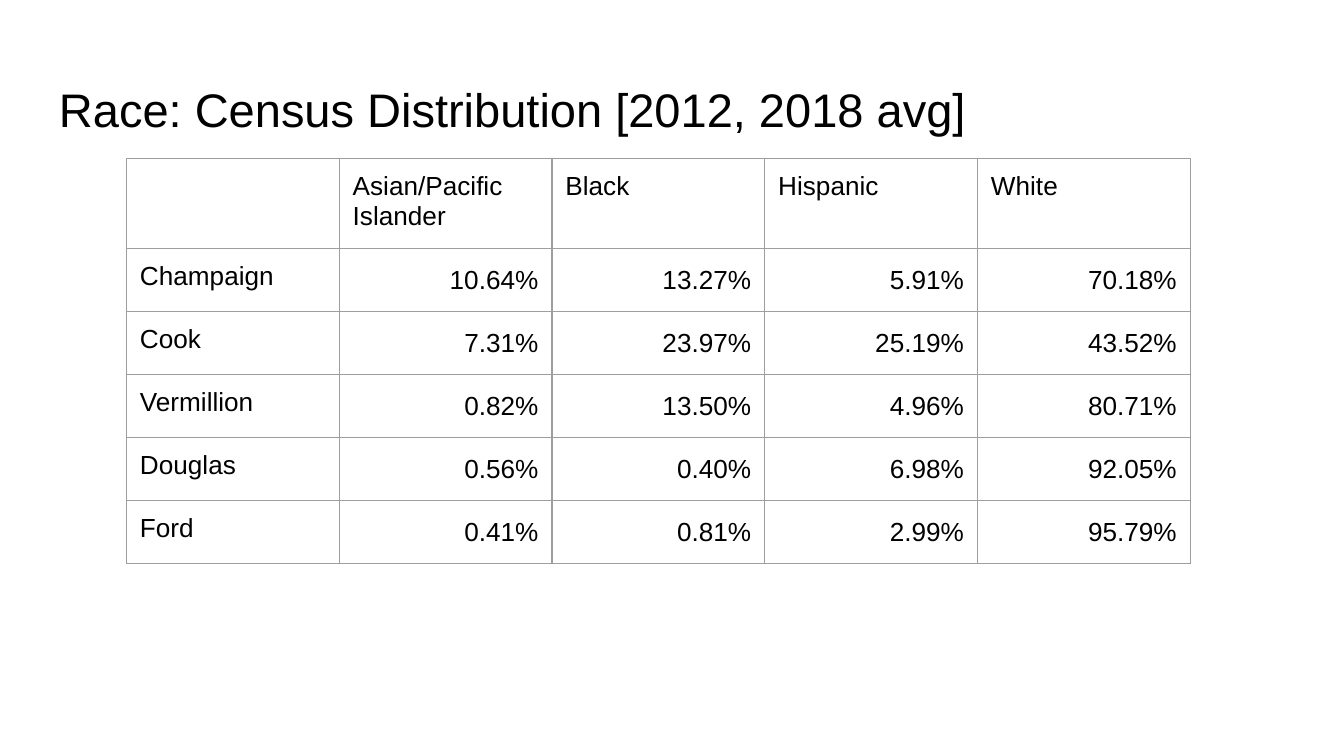
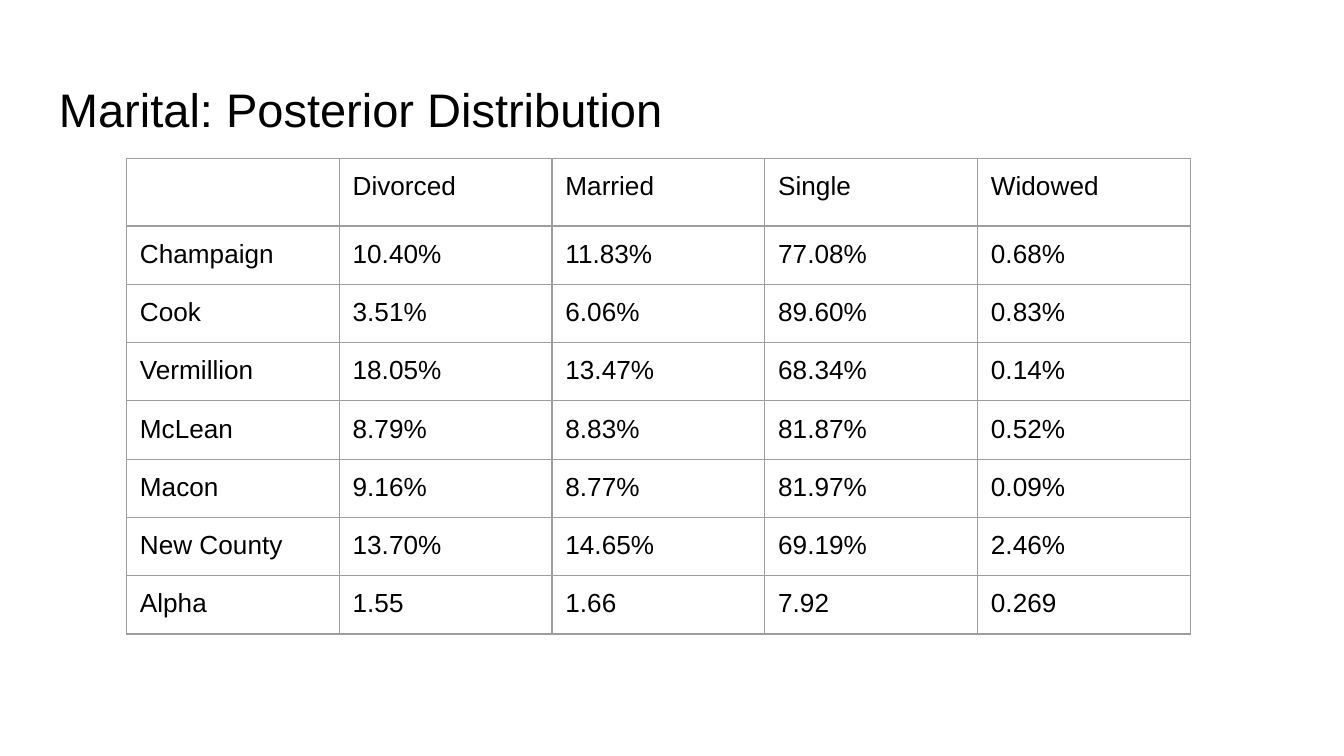
from lxml.etree import SubElement as Sub
from pptx import Presentation
from pptx.dml.color import RGBColor as Rgb
from pptx.enum.text import MSO_ANCHOR as Anchor, PP_ALIGN as Align
from pptx.oxml.ns import qn
from pptx.util import Pt

hues = {"text": "000000", "grid": "9E9E9E", "page": "FFFFFF"}
pad = 7.2
tables = [
    ("Race: Census Distribution [2012, 2018 avg]", Align.RIGHT, 1.15, [
        ["", "Asian/Pacific Islander", "Black", "Hispanic", "White"],
        ["Champaign", "10.64%", "13.27%", "5.91%", "70.18%"],
        ["Cook", "7.31%", "23.97%", "25.19%", "43.52%"],
        ["Vermillion", "0.82%", "13.50%", "4.96%", "80.71%"],
        ["Douglas", "0.56%", "0.40%", "6.98%", "92.05%"],
        ["Ford", "0.41%", "0.81%", "2.99%", "95.79%"],
    ]),
    ("Marital: Posterior Distribution", Align.LEFT, None, [
        ["", "Divorced", "Married", "Single", "Widowed"],
        ["Champaign", "10.40%", "11.83%", "77.08%", "0.68%"],
        ["Cook", "3.51%", "6.06%", "89.60%", "0.83%"],
        ["Vermillion", "18.05%", "13.47%", "68.34%", "0.14%"],
        ["McLean", "8.79%", "8.83%", "81.87%", "0.52%"],
        ["Macon", "9.16%", "8.77%", "81.97%", "0.09%"],
        ["New County", "13.70%", "14.65%", "69.19%", "2.46%"],
        ["Alpha", "1.55", "1.66", "7.92", "0.269"],
    ]),
]


def write(frame, text, size=14, align=Align.LEFT, space=None):
    para = frame.paragraphs[0]
    para.alignment = align
    para.line_spacing = space
    run = para.add_run()
    run.text = text
    run.font.size = Pt(size)
    run.font.name = "Arial"
    run.font.color.rgb = Rgb.from_string(hues["text"])


def border(cell):
    props = cell._tc.get_or_add_tcPr()
    for spot, side in enumerate(("lnL", "lnR", "lnT", "lnB")):
        line = Sub(props, qn("a:" + side), w=str(Pt(0.75)))
        fill = Sub(line, qn("a:solidFill"))
        Sub(fill, qn("a:srgbClr"), val=hues["grid"])
        props.insert(spot, line)


deck = Presentation()
deck.slide_width, deck.slide_height = Pt(720), Pt(405)

for title, align, space, rows in tables:
    slide = deck.slides.add_slide(deck.slide_layouts[6])
    slide.background.fill.solid()
    slide.background.fill.fore_color.rgb = Rgb.from_string(hues["page"])

    head = slide.shapes.add_textbox(Pt(24.5), Pt(35.3), Pt(671), Pt(45.1)).text_frame
    head.word_wrap = True
    head.vertical_anchor = Anchor.BOTTOM
    head.margin_left = head.margin_right = Pt(pad)
    head.margin_top = head.margin_bottom = Pt(pad)
    write(head, title, size=25.2)

    count, wide = len(rows), len(rows[0])
    grid = slide.shapes.add_table(
        count, wide, Pt(67.75), Pt(85), Pt(114 * wide), Pt(30 * count)).table
    grid.first_row = grid.horz_banding = False
    for r, row in enumerate(rows):
        for c, text in enumerate(row):
            cell = grid.cell(r, c)
            cell.margin_left = cell.margin_right = Pt(pad)
            cell.margin_top = cell.margin_bottom = Pt(pad)
            cell.fill.background()
            border(cell)
            if text and r and c:
                write(cell.text_frame, text, align=align, space=space)
            elif text:
                write(cell.text_frame, text)

deck.save("out.pptx")
